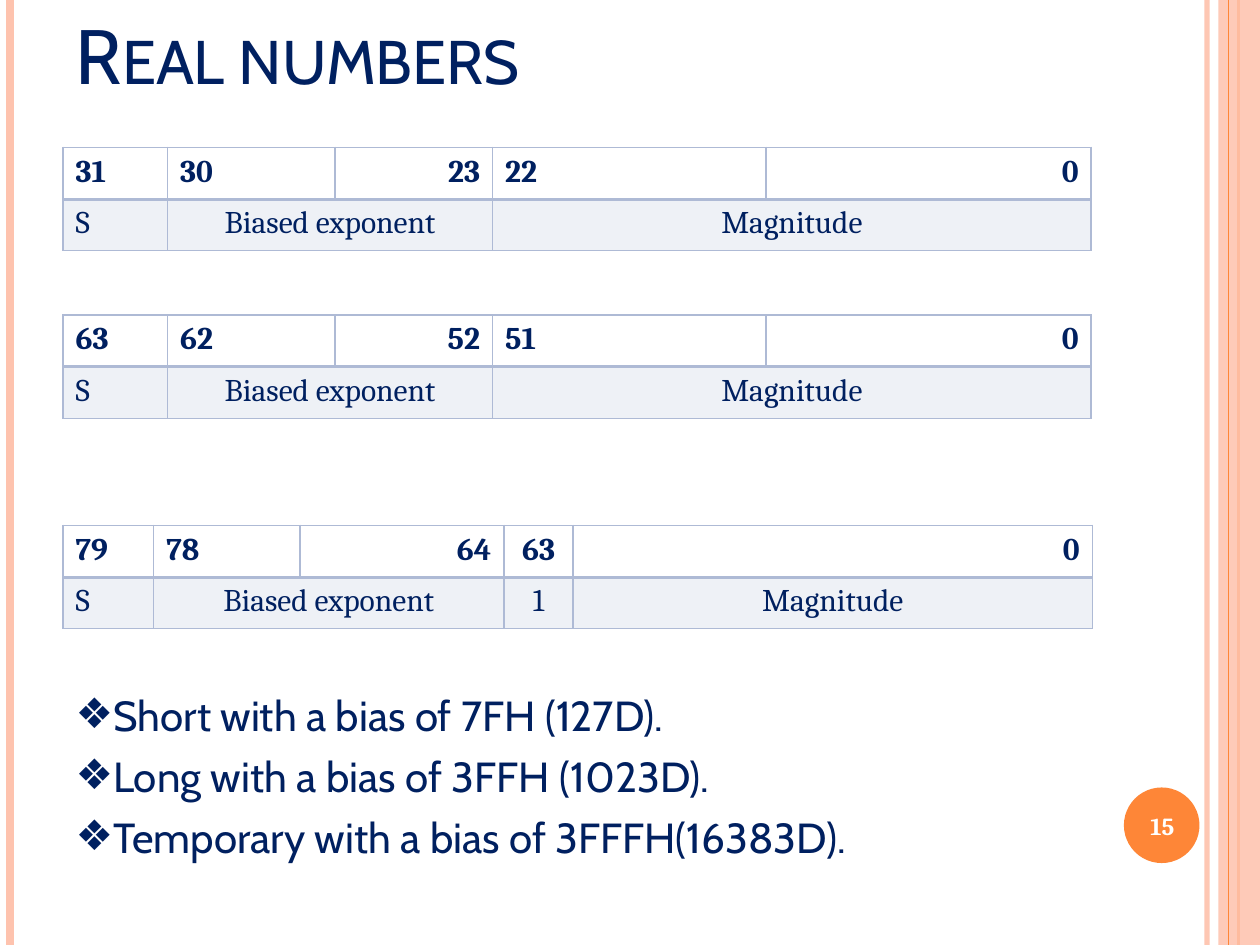
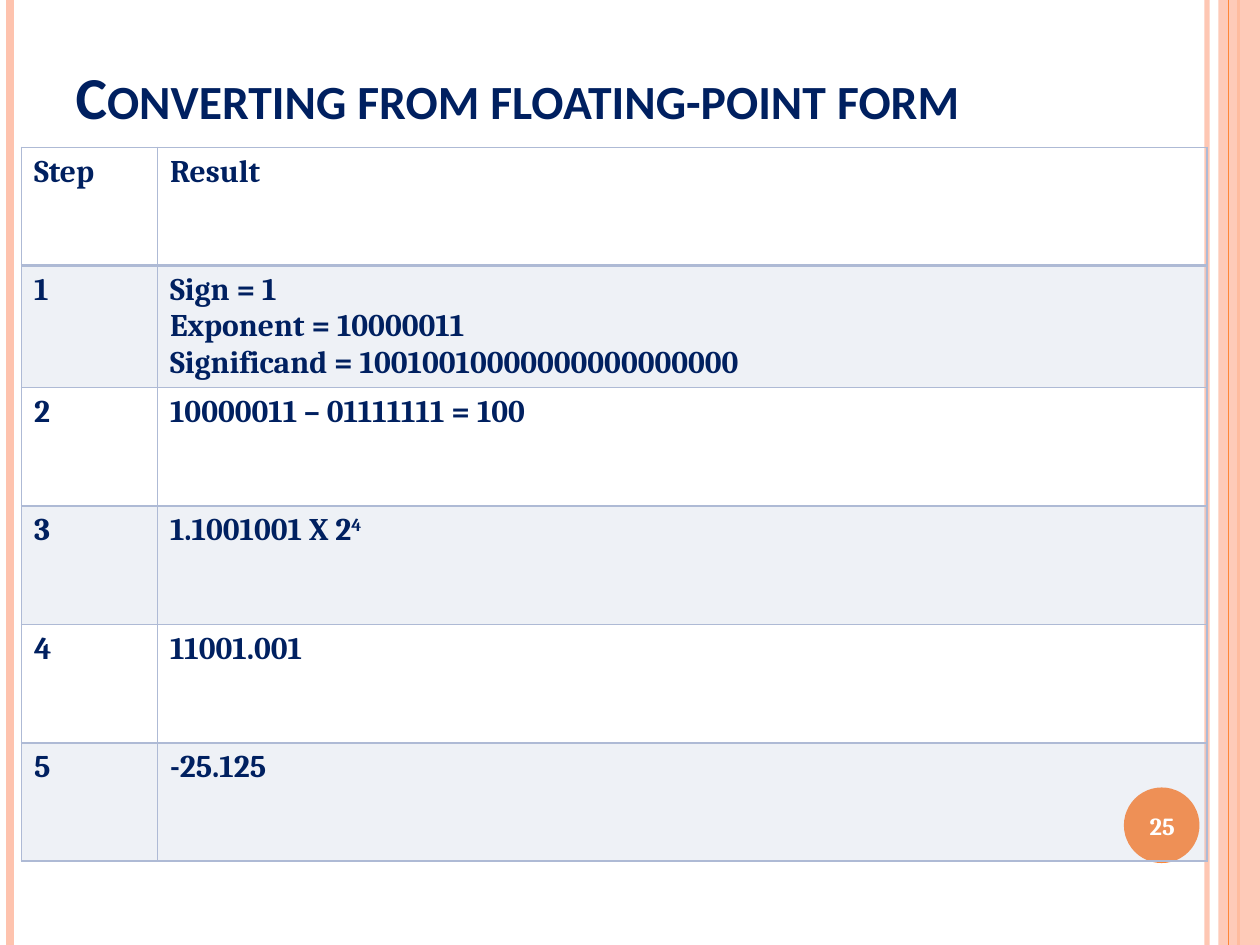
from itertools import accumulate

from pptx import Presentation
from pptx.dml.color import RGBColor
from pptx.enum.shapes import MSO_CONNECTOR as Conn, MSO_SHAPE as Shape
from pptx.enum.text import MSO_ANCHOR as Anchor, MSO_AUTO_SIZE as Fit, PP_ALIGN as Align
from pptx.oxml.ns import qn
from pptx.util import Inches, Pt
from lxml.etree import SubElement

NAVY, PEACH, ORANGE, BLUE, WHITE = "002060", "FEC3AE", "FE8637", "AEBAD5", "FFFFFF"
ALIGNS = {"l": Align.LEFT, "c": Align.CENTER, "r": Align.RIGHT}


def color(hex_code):
    return RGBColor.from_string(hex_code)


def inches(box):
    return [Inches(v) for v in box]


def paint(fill, hex_code, alpha=100):
    fill.solid()
    fill.fore_color.rgb = color(hex_code)
    if alpha < 100:
        clr = fill._xPr.find(qn("a:solidFill"))[0]
        SubElement(clr, qn("a:alpha"), val=str(alpha * 1000))


def write(p, text, size=18, font="Cambria", hex_code=NAVY, bold=False,
          align="l", small_caps=False, raised=0):
    p.alignment = ALIGNS[align]
    r = p.add_run()
    r.text = text
    r.font.size, r.font.name, r.font.bold = Pt(size), font, bold
    r.font.color.rgb = color(hex_code)
    rPr = r._r.get_or_add_rPr()
    if small_caps:
        rPr.set("cap", "small")
    if raised:
        rPr.set("baseline", str(raised * 1000))


def place(sp, box, anchor):
    sp.left, sp.top, sp.width, sp.height = inches(box)
    tf = sp.text_frame
    tf.word_wrap, tf.auto_size, tf.vertical_anchor = True, Fit.NONE, anchor
    return tf


def add_rule(s, x, hex_code, width, height=7.5, alpha=100):
    ln = s.shapes.add_connector(Conn.STRAIGHT, *inches((x, 0, x, height)))
    ln.line.width = Pt(width)
    paint(ln.line.fill, hex_code, alpha)
    SubElement(ln._element.spPr, qn("a:effectLst"))


def add_block(s, kind, box, hex_code, alpha=100):
    sp = s.shapes.add_shape(kind, *inches(box))
    sp.shadow.inherit = False
    paint(sp.fill, hex_code, alpha)
    sp.line.fill.background()


def add_frame(s):
    add_rule(s, 9.58, PEACH, 3, alpha=93)
    add_rule(s, 0.08, PEACH, 4.5)
    add_rule(s, 9.83, ORANGE, 1.5)
    add_block(s, Shape.RECTANGLE, (9.67, 0, 0.33, 7.5), PEACH, 87)
    add_rule(s, 9.75, ORANGE, 0.75)
    add_block(s, Shape.OVAL, (8.92, 6.25, 0.6, 0.6), ORANGE)


def add_number(s, number):
    box = (8.89, 6.27, 0.67, 0.57)
    tf = place(s.shapes.add_textbox(*inches(box)), box, Anchor.MIDDLE)
    write(tf.paragraphs[0], str(number), 14, hex_code=WHITE, bold=True, align="c")


def set_title(s, text, box, size, font, bold=False):
    tf = place(s.shapes.title, box, Anchor.BOTTOM)
    write(tf.paragraphs[0], text, size, font, bold=bold, small_caps=True)


def set_bullets(s, items, box):
    tf = place(s.placeholders[1], box, Anchor.TOP)
    for i, item in enumerate(items):
        p = tf.add_paragraph() if i else tf.paragraphs[0]
        p.space_before = Pt(6 if i else 0)
        pPr = p._p.get_or_add_pPr()
        pPr.set("marL", str(Inches(0.3)))
        pPr.set("indent", str(-Inches(0.3)))
        SubElement(SubElement(pPr, qn("a:buClr")), qn("a:srgbClr"), val=NAVY)
        SubElement(pPr, qn("a:buChar"), char="❖")
        write(p, item, 24, "Cabin")


def set_borders(cell, bottom):
    tcPr = cell._tc.get_or_add_tcPr()
    widths = {"L": 1, "R": 1, "T": 1, "B": bottom}
    for i, (side, width) in enumerate(widths.items()):
        ln = SubElement(tcPr, qn(f"a:ln{side}"), w=str(Pt(width)))
        SubElement(SubElement(ln, qn("a:solidFill")), qn("a:srgbClr"), val=BLUE)
        tcPr.insert(i, ln)


def add_grid(s, left, top, cols, row_height, row_count):
    box = (left, top, sum(cols), row_height * row_count)
    table = s.shapes.add_table(row_count, len(cols), *inches(box)).table
    table.first_row = table.horz_banding = False
    for col, width in zip(table.columns, cols):
        col.width = Inches(width)
    for i, row in enumerate(table.rows):
        row.height = Inches(row_height)
        for cell in row.cells:
            if i % 2:
                paint(cell.fill, BLUE, 20)
            else:
                cell.fill.background()
            set_borders(cell, 1 if i else 2)
    return table


def add_format(s, top, cols, bits, aligns, fields):
    table = add_grid(s, 0.5, top, cols, 0.41, 2)
    for i, (bit, align) in enumerate(zip(bits, aligns)):
        write(table.cell(0, i).text_frame.paragraphs[0], bit, bold=True, align=align)
    starts = accumulate((span for _, span in fields), initial=0)
    for (name, span), start in zip(fields, starts):
        cell = table.cell(1, start)
        if span > 1:
            cell.merge(table.cell(1, start + span - 1))
        write(cell.text_frame.paragraphs[0], name, align="c" if start else "l")


def add_steps(s, left, top, cols, rows):
    table = add_grid(s, left, top, cols, 0.94, len(rows))
    for i, row in enumerate(rows):
        for j, text in enumerate(row):
            tf = table.cell(i, j).text_frame
            for k, line in enumerate(text.split("\n")):
                p = tf.add_paragraph() if k else tf.paragraphs[0]
                base, _, power = line.partition("^")
                write(p, base, bold=True)
                if power:
                    write(p, power, bold=True, raised=30)


def build_real_numbers(prs):
    s = prs.slides.add_slide(prs.slide_layouts[1])
    add_frame(s)
    set_title(s, "Real numbers", (0.5, 0.17, 8.17, 0.67), 44, "Cabin")
    cols = (0.83, 1.33, 1.25, 2.17, 2.58)
    fields = (("S", 1), ("Biased exponent", 2), ("Magnitude", 2))
    for top, bits in ((1.17, "31 30 23 22 0"), (2.5, "63 62 52 51 0")):
        add_format(s, top, cols, bits.split(), "llrlr", fields)
    add_format(s, 4.17, (0.72, 1.16, 1.62, 0.55, 4.12), "79 78 64 63 0".split(), "llrcr",
               (("S", 1), ("Biased exponent", 2), ("1", 1), ("Magnitude", 1)))
    set_bullets(s, ("Short with a bias of 7FH (127D).",
                    "Long with a bias of 3FFH (1023D).",
                    "Temporary with a bias of 3FFFH(16383D)."),
                (0.5, 5.42, 8.17, 1.83))
    add_number(s, 15)


def build_converting(prs):
    s = prs.slides.add_slide(prs.slide_layouts[5])
    add_frame(s)
    set_title(s, "Converting from floating-point form", (0.5, 0.17, 8.83, 0.92),
              34, "Calibri", bold=True)
    add_steps(s, 0.17, 1.17, (1.08, 8.33), (
        ("Step", "Result"),
        ("1", "Sign = 1\nExponent = 10000011\nSignificand = 10010010000000000000000"),
        ("2", "10000011 – 01111111 = 100"),
        ("3", "1.1001001 X 2^4"),
        ("4", "11001.001"),
        ("5", "-25.125")))
    add_number(s, 25)


def main():
    prs = Presentation()
    prs.slide_width, prs.slide_height = Inches(10), Inches(7.5)
    build_real_numbers(prs)
    build_converting(prs)
    prs.save("out.pptx")


if __name__ == "__main__":
    main()
